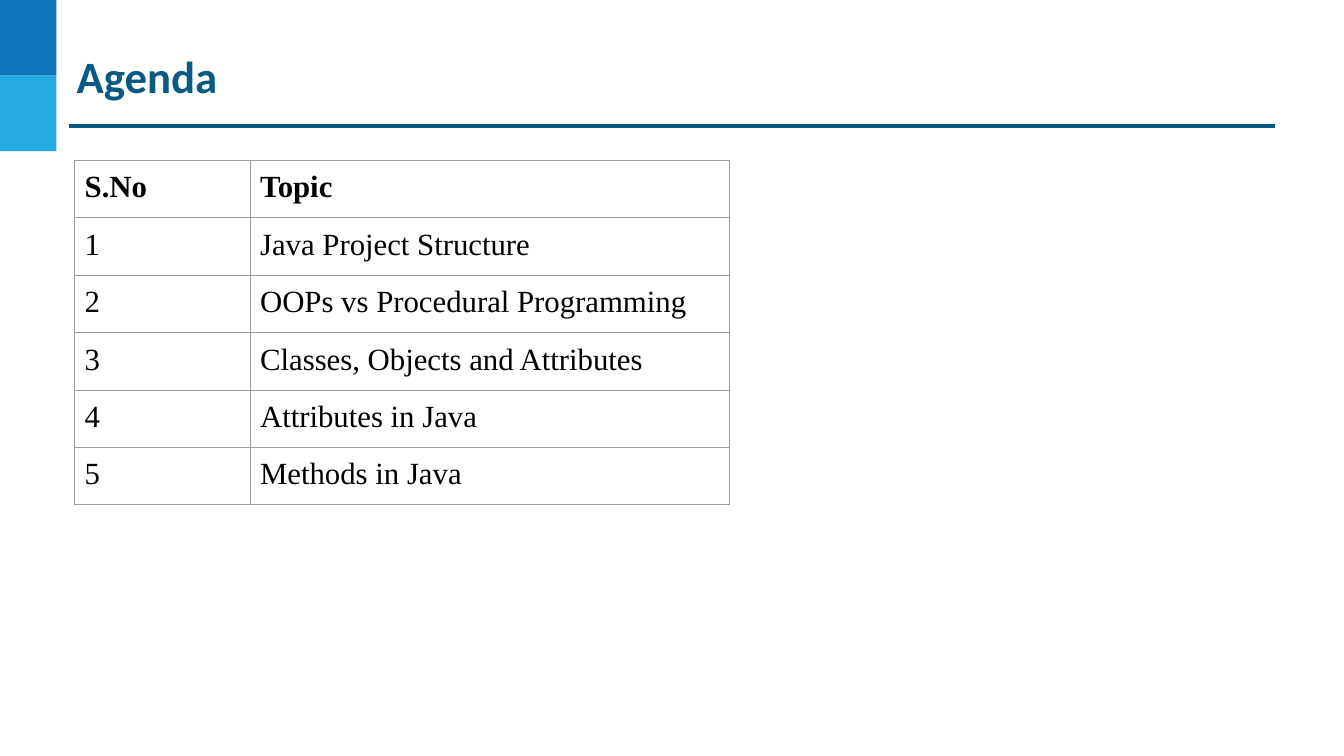
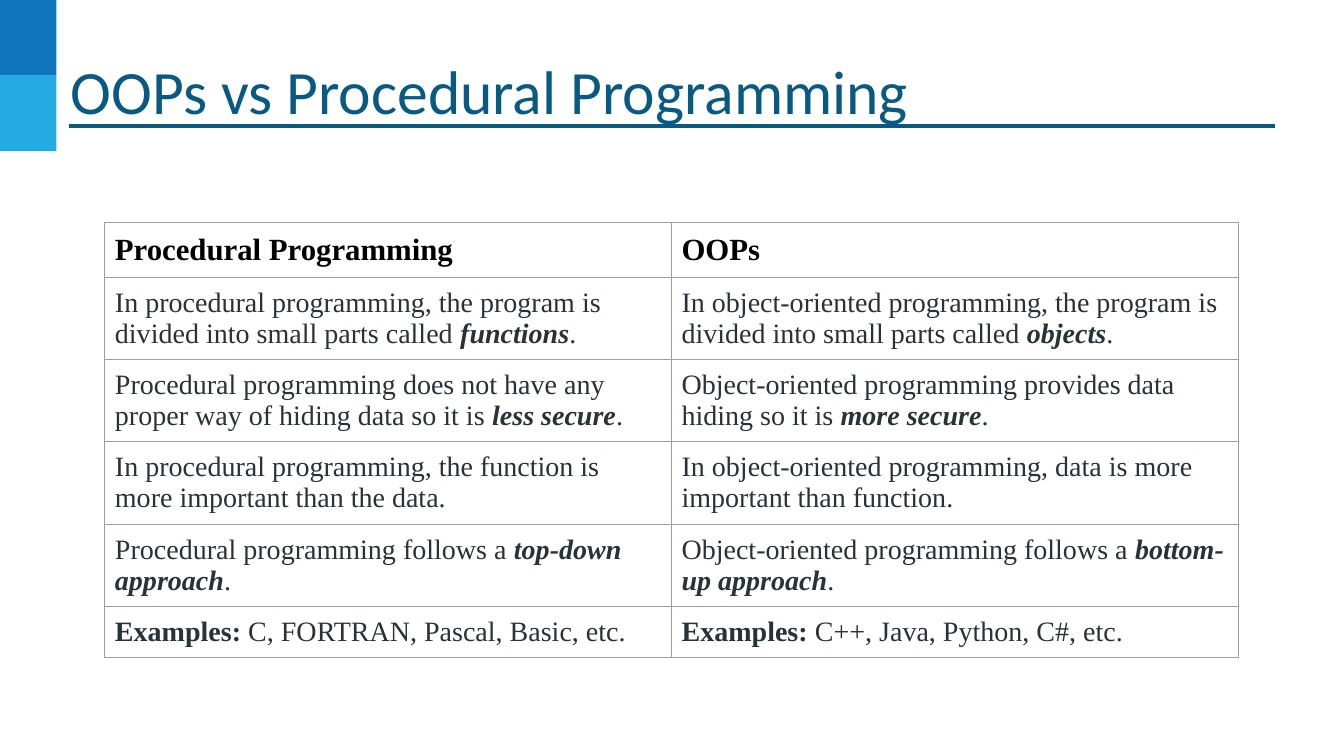
"""Build an agenda slide and a comparison slide with a shared title style."""
from lxml import etree
from pptx import Presentation
from pptx.dml.color import RGBColor
from pptx.enum import shapes, text
from pptx.oxml import parse_xml
from pptx.oxml import ns
from pptx.util import Inches, Pt

DARK, BLUE, SKY = "095A82", "0F75BD", "25AAE2"
GRAY, INK, BLACK = "9E9E9E", "273239", "000000"
BANDS = [BLUE, SKY]


def color(code):
    return RGBColor.from_string(code)


def style(run, code, **form):
    for key, value in form.items():
        setattr(run.font, key, value)
    run.font.color.rgb = color(code)


decks = [
    {
        "title": "Agenda", "box": (0.74, 0.46, 11.97, 0.58), "size": 32, "bold": True,
        "at": (0.74, 1.59), "cols": (1.74, 4.76), "high": 0.57, "body": (22, BLACK),
        "rows": [
            ("S.No", "Topic"),
            ("1", "Java Project Structure"),
            ("2", "OOPs vs Procedural Programming"),
            ("3", "Classes, Objects and Attributes"),
            ("4", "Attributes in Java"),
            ("5", "Methods in Java"),
        ],
    },
    {
        "title": "OOPs vs Procedural Programming", "box": (0.68, 0.5, 11.97, 0.54),
        "size": 44, "bold": False,
        "at": (1.04, 2.21), "cols": (5.62, 5.62), "high": 0.42, "body": (20, INK),
        "rows": [
            ("Procedural Programming", "OOPs"),
            ("In procedural programming, the program is divided into small parts called *functions*.",
             "In object-oriented programming, the program is divided into small parts called *objects*."),
            ("Procedural programming does not have any proper way of hiding data so it is *less secure*.",
             "Object-oriented programming provides data hiding so it is *more secure*."),
            ("In procedural programming, the function is more important than the data.",
             "In object-oriented programming, data is more important than function."),
            ("Procedural programming follows a *top-down approach*.",
             "Object-oriented programming follows a *bottom-up approach*."),
            ("*Examples:* C, FORTRAN, Pascal, Basic, etc.",
             "*Examples:* C++, Java, Python, C#, etc."),
        ],
    },
]

prs = Presentation()
prs.slide_width, prs.slide_height = Inches(13.33), Inches(7.5)

for deck in decks:
    slide = prs.slides.add_slide(prs.slide_layouts[5])

    for i, code in enumerate(BANDS):
        band = slide.shapes.add_shape(
            shapes.MSO_SHAPE.RECTANGLE, 0, Inches(0.75 * i), Inches(0.56), Inches(0.75))
        band.shadow.inherit = False
        band.fill.solid()
        band.fill.fore_color.rgb = color(code)
        band.line.fill.background()

    rule = slide.shapes.add_connector(
        shapes.MSO_CONNECTOR.STRAIGHT, Inches(0.68), Inches(1.25), Inches(12.65), Inches(1.25))
    rule.line.color.rgb = color(DARK)
    rule.line.width = Pt(2.25)
    etree.SubElement(rule._element.spPr, ns.qn("a:effectLst"))

    title = slide.shapes.title
    title.left, title.top, title.width, title.height = map(Inches, deck["box"])
    frame = title.text_frame
    inset = Inches(0.02)
    form = {
        "margin_left": inset, "margin_right": inset, "margin_top": inset, "margin_bottom": inset,
        "word_wrap": True, "auto_size": text.MSO_AUTO_SIZE.NONE,
        "vertical_anchor": text.MSO_ANCHOR.TOP,
    }
    for key, value in form.items():
        setattr(frame, key, value)
    head = frame.paragraphs[0]
    head.alignment = text.PP_ALIGN.LEFT
    run = head.add_run()
    run.text = deck["title"]
    style(run, DARK, name="Calibri", size=Pt(deck["size"]), bold=deck["bold"])

    rows, cols = deck["rows"], deck["cols"]
    left, top = deck["at"]
    table = slide.shapes.add_table(
        len(rows), len(cols), Inches(left), Inches(top),
        Inches(sum(cols)), Inches(deck["high"] * len(rows))).table
    table.first_row = table.horz_banding = False
    for col, wide in zip(table.columns, cols):
        col.width = Inches(wide)

    for r, row in enumerate(rows):
        table.rows[r].height = Inches(deck["high"])
        size, code = deck["body"] if r else (22, BLACK)
        for c, words in enumerate(row):
            cell = table.cell(r, c)
            for side in ("left", "right", "top", "bottom"):
                setattr(cell, "margin_" + side, Inches(0.1))
            props = cell._tc.get_or_add_tcPr()
            for edge in "LRTB":
                props.append(parse_xml(
                    f'<a:ln{edge} {ns.nsdecls("a")} w="{Pt(0.75)}"><a:solidFill>'
                    f'<a:srgbClr val="{GRAY}"/></a:solidFill></a:ln{edge}>'))
            cell.fill.background()
            para = cell.text_frame.paragraphs[0]
            for n, part in enumerate(words.split("*")):
                if part:
                    strong = n % 2 == 1
                    run = para.add_run()
                    run.text = part
                    style(run, code, name="Times New Roman", size=Pt(size),
                          bold=strong or r == 0, italic=strong and part != "Examples:")

prs.save("out.pptx")
